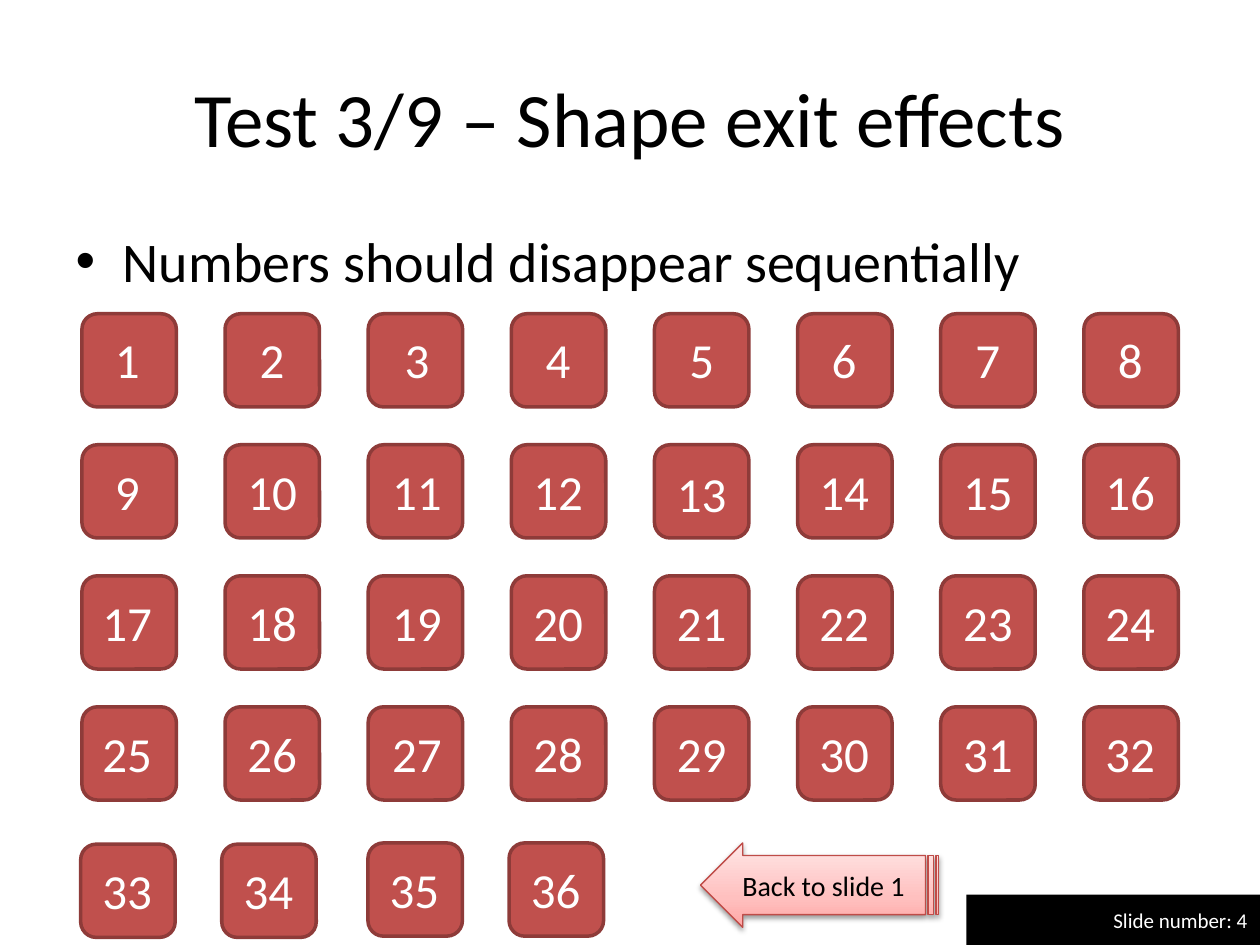
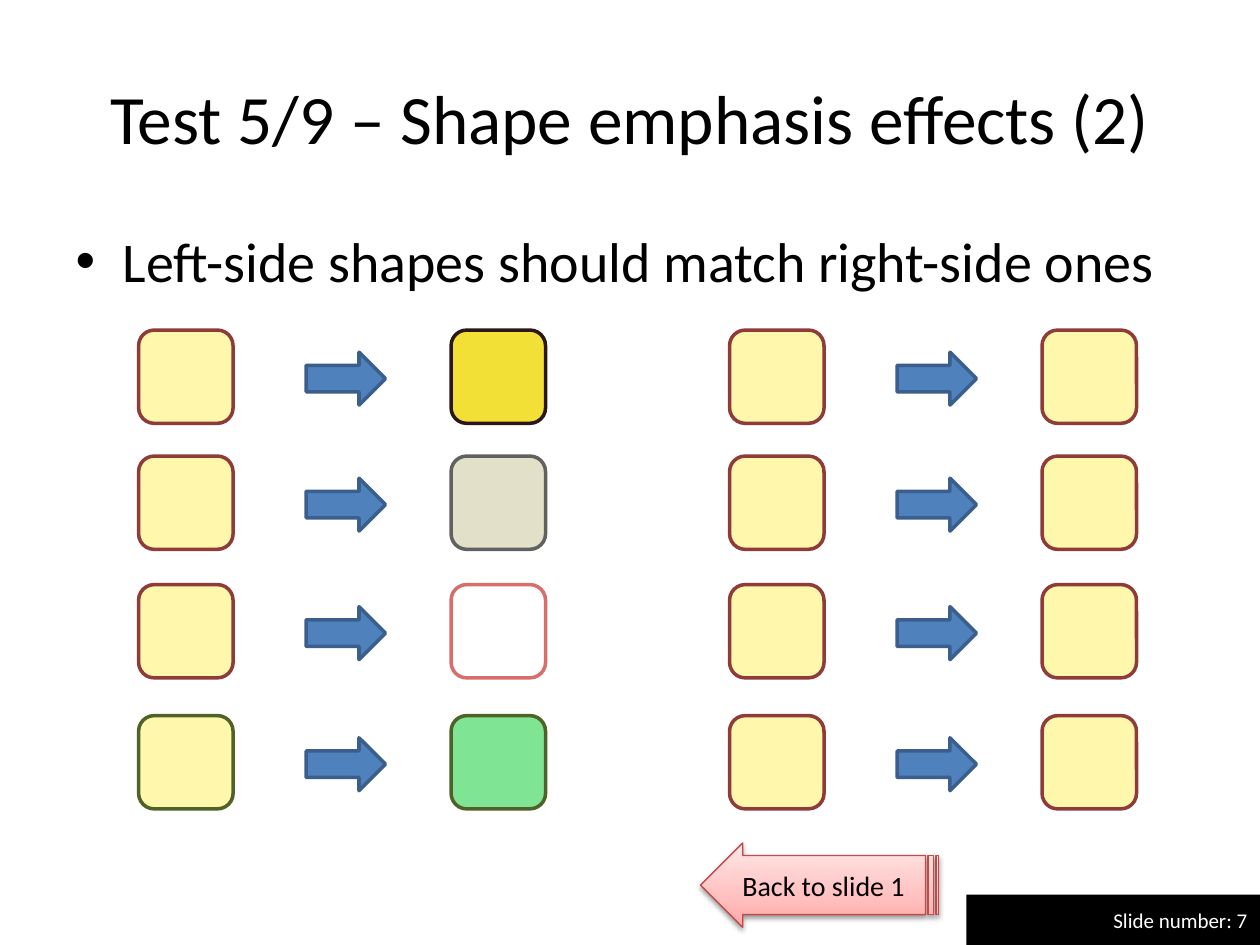
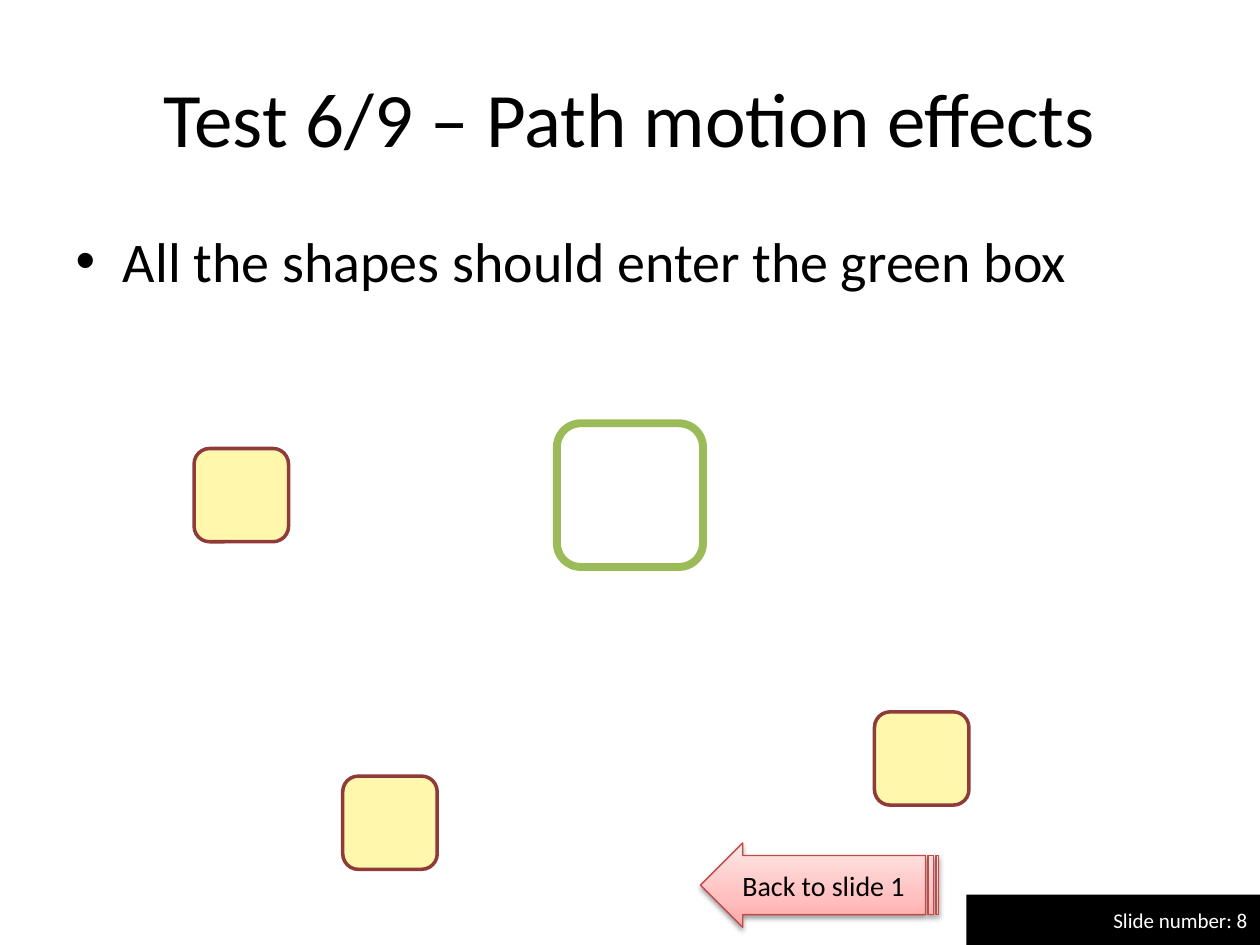
from copy import deepcopy
from dataclasses import dataclass
from typing import Optional

from lxml import etree
from pptx import Presentation
from pptx import util as u
from pptx.dml import color
from pptx.enum import shapes, text
from pptx.oxml.ns import qn

# Shared look
FONT = "Calibri"
BLACK, WHITE = "000000", "FFFFFF"
RED, MAROON = "C0504D", "8E3B39"
CREAM, OLIVE = "FFF7AB", "4F6228"
BLUE, NAVY = "4F81BD", "3A5F8C"
GREEN, ROSE = "9BBB59", "BF4C48"
FADE = [(0, "FFA6A5"), (0.35, "FFC0BF"), (1, "FFE7E7")]
TILE_W, TILE_H = 0.75, 0.74
KIND = shapes.MSO_SHAPE


@dataclass
class Box:
    left: float
    top: float
    width: float
    height: float

    def span(self) -> tuple:
        return tuple(u.Inches(n) for n in
                     (self.left, self.top, self.width, self.height))


@dataclass
class Look:
    fill: Optional[str]
    line: Optional[str]
    weight: float = 2


@dataclass
class Page:
    title: str
    body: str
    number: int
    size: float = 44
    depth: float = 0.74


RED_TILE = Look(RED, MAROON)
PALE_TILE = Look(CREAM, MAROON)
BLUE_LOOK = Look(BLUE, NAVY)


def rgb(code: str) -> color.RGBColor:
    return color.RGBColor.from_string(code)


def write(frame, words: str, size: float, ink: str, align) -> None:
    para = frame.paragraphs[0]
    para.alignment = align
    para.space_before = u.Pt(0)
    run = para.add_run()
    run.text = words
    run.font.name = FONT
    run.font.size = u.Pt(size)
    run.font.color.rgb = rgb(ink)


def draw(slide, kind, box: Box, look: Look):
    shape = slide.shapes.add_shape(kind, *box.span())
    shape.shadow.inherit = False
    if look.fill:
        shape.fill.solid()
        shape.fill.fore_color.rgb = rgb(look.fill)
    else:
        shape.fill.background()
    if look.line:
        shape.line.color.rgb = rgb(look.line)
        shape.line.width = u.Pt(look.weight)
    else:
        shape.line.fill.background()
    return shape


def tile(slide, left: float, top: float, look: Look) -> None:
    draw(slide, KIND.ROUNDED_RECTANGLE, Box(left, top, TILE_W, TILE_H), look)


def label(slide, number: int, mid: float, top: float) -> None:
    width = 0.4 if number < 10 else 0.6
    box = slide.shapes.add_textbox(*Box(mid - width / 2, top, width, 0.57).span())
    frame = box.text_frame
    frame.word_wrap = False
    frame.auto_size = text.MSO_AUTO_SIZE.SHAPE_TO_FIT_TEXT
    write(frame, str(number), 28, WHITE, text.PP_ALIGN.CENTER)


# Parts found on every slide
def start(deck, page: Page):
    slide = deck.slides.add_slide(deck.slide_layouts[1])
    title, body = slide.placeholders
    title.fill.solid()
    title.fill.fore_color.rgb = rgb(WHITE)
    parts = [
        (title, Box(0.5, 0.3, 9, 1.25), page.title, page.size, text.PP_ALIGN.CENTER),
        (body, Box(0.5, 1.75, 9, page.depth), page.body, 32, text.PP_ALIGN.LEFT),
    ]
    for holder, box, words, size, align in parts:
        holder.left, holder.top, holder.width, holder.height = box.span()
        holder.text_frame.auto_size = text.MSO_AUTO_SIZE.NONE
        write(holder.text_frame, words, size, BLACK, align)
    band = draw(slide, KIND.RECTANGLE, Box(7.67, 7.1, 2.33, 0.4), Look(BLACK, None))
    band.text_frame.vertical_anchor = text.MSO_ANCHOR.MIDDLE
    write(band.text_frame, f"Slide number: {page.number}", 12, WHITE,
          text.PP_ALIGN.RIGHT)
    return slide


def shade(shape) -> None:
    """Add a soft shadow straight below the shape."""
    effects = shape._element.spPr.find(qn("a:effectLst"))
    outer = etree.SubElement(effects, qn("a:outerShdw"), blurRad=str(u.Pt(3.1)),
                             dist=str(u.Pt(1.6)), dir="5400000", rotWithShape="0")
    tint = etree.SubElement(outer, qn("a:srgbClr"), val=BLACK)
    etree.SubElement(tint, qn("a:alpha"), val="38000")


def back(slide) -> None:
    arrow = draw(slide, KIND.STRIPED_RIGHT_ARROW, Box(5.56, 6.69, 1.89, 0.67),
                 Look(WHITE, ROSE, 0.75))
    arrow.adjustments[0] = 0.7
    arrow.adjustments[1] = 0.5
    arrow._element.spPr.xfrm.set("flipH", "1")
    arrow.fill.gradient()
    arrow.fill.gradient_angle = 90
    stops = arrow._element.spPr.find(".//" + qn("a:gsLst"))
    stops.append(deepcopy(stops[0]))
    for stop, (place, code) in zip(arrow.fill.gradient_stops, FADE):
        stop.position = place
        stop.color.rgb = rgb(code)
    shade(arrow)
    arrow.text_frame.vertical_anchor = text.MSO_ANCHOR.MIDDLE
    write(arrow.text_frame, "Back to slide 1", 16, BLACK, text.PP_ALIGN.LEFT)


# Slide with the numbered tiles
def exits(deck) -> None:
    slide = start(deck, Page("Test 3/9 – Shape exit effects",
                             "Numbers should disappear sequentially", 4))
    mids = [1.01, 2.16, 3.31, 4.43, 5.57, 6.7, 7.84, 8.97]
    for row in range(4):
        top = 2.49 + 1.04 * row
        for col in range(len(mids)):
            tile(slide, 0.65 + 1.136 * col, top, RED_TILE)
        for number, mid in enumerate(mids, 1 + row * len(mids)):
            drop = 0.1 if number == 13 else 0.08
            label(slide, number, mid, top + drop)
    last = [(0.64, 6.7), (1.76, 6.7), (2.92, 6.69), (4.04, 6.69)]
    for number, (left, top) in enumerate(last, 33):
        tile(slide, left, top, RED_TILE)
        label(slide, number, left + 0.37, top + 0.08)
    back(slide)


# Slide with the matching pairs
def pairs(deck) -> None:
    slide = start(deck, Page("Test 5/9 – Shape emphasis effects (2)",
                             "Left-side shapes should match right-side ones",
                             7, size=39.6))
    tops = [2.62, 3.62, 4.64, 5.68]
    plain = [(PALE_TILE, PALE_TILE)] * 4
    changed = [
        (PALE_TILE, Look("F2E037", "2A1716")),
        (PALE_TILE, Look("E2E0C8", "616161")),
        (PALE_TILE, Look(WHITE, "D66E6B")),
        (Look(CREAM, OLIVE), Look("7FE594", OLIVE)),
    ]
    for left, looks in [(1.1, changed), (5.79, plain)]:
        for top, (first, second) in zip(tops, looks):
            draw(slide, KIND.RIGHT_ARROW, Box(left + 1.33, top + 0.175, 0.63, 0.42),
                 BLUE_LOOK)
            tile(slide, left, top, first)
            tile(slide, left + 2.48, top, second)
    back(slide)


# Slide with the green box
def moves(deck) -> None:
    slide = start(deck, Page("Test 6/9 – Path motion effects",
                             "All the shapes should enter the green box",
                             8, depth=1.25))
    draw(slide, KIND.ROUNDED_RECTANGLE, Box(4.42, 3.36, 1.16, 1.14),
         Look(None, GREEN, 4.5))
    for left, top in [(1.54, 3.56), (6.94, 5.65), (2.72, 6.16)]:
        tile(slide, left, top, PALE_TILE)
    back(slide)


def main() -> None:
    deck = Presentation()
    deck.slide_width, deck.slide_height = u.Inches(10), u.Inches(7.5)
    for build in (exits, pairs, moves):
        build(deck)
    deck.save("out.pptx")


if __name__ == "__main__":
    main()
